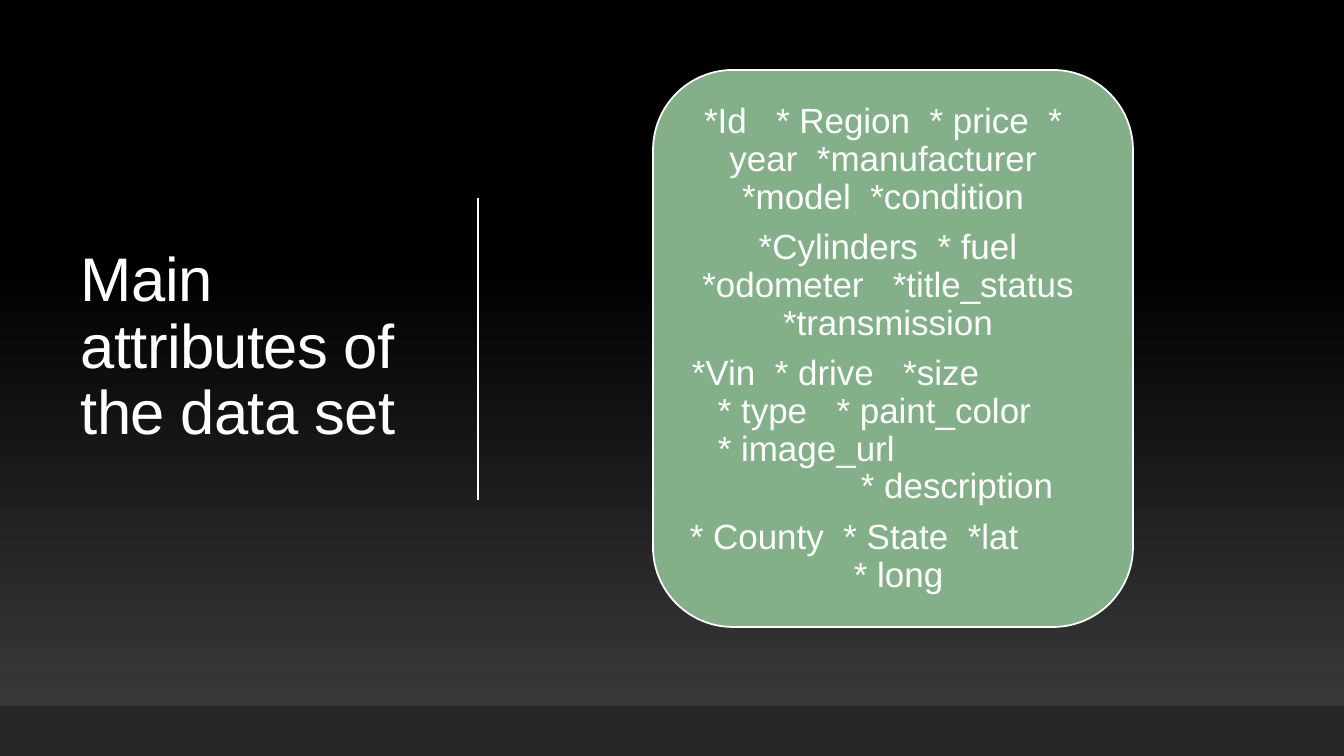
import pptx
import pptx.util
import pptx.dml.color
import pptx.enum.shapes
import pptx.enum.text
import lxml.etree

TITLE = "Main attributes of the data set"
GAPS = {"|": 700, "^": 1400}
ROWS = [
    ("*Id^* Region|* price|* year|*manufacturer^*model|*condition",
     {"algn": "ctr", "marR": 20}, 9),
    ("*Cylinders|* fuel|*odometer^*title_status|*transmission",
     {"algn": "ctr", "marR": 10}, 9),
    ("*Vin|* drive^*size\v* type^* paint_color\v* image_url",
     {"algn": "l", "marL": 32, "indent": -26}, 0),
    ("* description", {"algn": "l", "marL": 175}, 9),
    ("* County|* State|*lat", {"algn": "l", "marL": 4}, 0),
    ("* long", {"algn": "l", "marL": 168}, 0),
]
INK = {"text": "FFFFFF", "card": "83AF89", "band": "262626",
       "glow": "3F3F3F", "night": "000000"}
BOX = {"back": (0, 0, 1344, 756), "title": (71, 70, 372, 557),
       "band": (0, 706, 1344, 50), "card": (653, 70, 480, 557),
       "list": (676, 94, 434, 510)}
RULE = (478, 198, 478, 500)
SCALE = 914400 / 100.8
FRAME = {"word_wrap": True, "vertical_anchor": pptx.enum.text.MSO_ANCHOR.MIDDLE}
KIND = pptx.enum.shapes.MSO_SHAPE


def px(n):
    return round(n * SCALE)


def hue(name):
    return pptx.dml.color.RGBColor.from_string(INK[name])


def put(item, vals):
    for key, val in vals.items():
        setattr(item, key, val)


def fade(fill):
    fill.gradient()
    fill.gradient_angle = 90
    for stop, (name, pos) in zip(fill.gradient_stops, [("glow", 0), ("night", 0.65)]):
        stop.color.rgb = hue(name)
        stop.position = pos


def block(name, kind=KIND.RECTANGLE):
    shape = slide.shapes.add_shape(kind, *map(px, BOX[name]))
    shape.shadow.inherit = False
    shape.line.fill.background()
    if name in INK:
        shape.fill.solid()
        shape.fill.fore_color.rgb = hue(name)
    return shape


def stroke(line, width):
    line.color.rgb = hue("text")
    line.width = pptx.util.Pt(width)


def frame(name):
    text = slide.shapes.add_textbox(*map(px, BOX[name])).text_frame
    put(text, FRAME)
    return text


def style(run, size, space=0):
    put(run.font, {"size": pptx.util.Pt(size), "name": "Arial"})
    run.font.color.rgb = hue("text")
    if space:
        run.font._element.set("spc", str(space))


def write(para, words, size, space=0):
    part = ""
    for sign in words + "\v":
        if sign not in GAPS and sign != "\v":
            part += sign
            continue
        run = para.add_run()
        run.text = part
        style(run, size, space)
        part = ""
        if sign in GAPS:
            run = para.add_run()
            run.text = " "
            style(run, size, GAPS[sign])
        else:
            para.add_line_break()
    para._p.remove(para._p[-1])


deck = pptx.Presentation()
put(deck, {"slide_width": px(1344), "slide_height": px(756)})
slide = deck.slides.add_slide(deck.slide_layouts[6])
fade(slide.background.fill)
fade(block("back").fill)

head = frame("title").paragraphs[0]
head.line_spacing = 0.9
write(head, TITLE, 44, -50)

rule = slide.shapes.add_connector(
    pptx.enum.shapes.MSO_CONNECTOR.STRAIGHT, *map(px, RULE))
stroke(rule.line, 1)
lxml.etree.SubElement(rule._element.spPr, pptx.oxml.ns.qn("a:effectLst"))

block("band")
stroke(block("card", KIND.ROUNDED_RECTANGLE).line, 1.25)

text = frame("list")
for i, (words, edge, after) in enumerate(ROWS):
    para = text.add_paragraph() if i else text.paragraphs[0]
    put(para, {"line_spacing": 0.9, "space_after": pptx.util.Pt(after)})
    for key, val in edge.items():
        para._p.get_or_add_pPr().set(key, val if key == "algn" else str(px(val)))
    write(para, words, 25)

deck.save("out.pptx")
